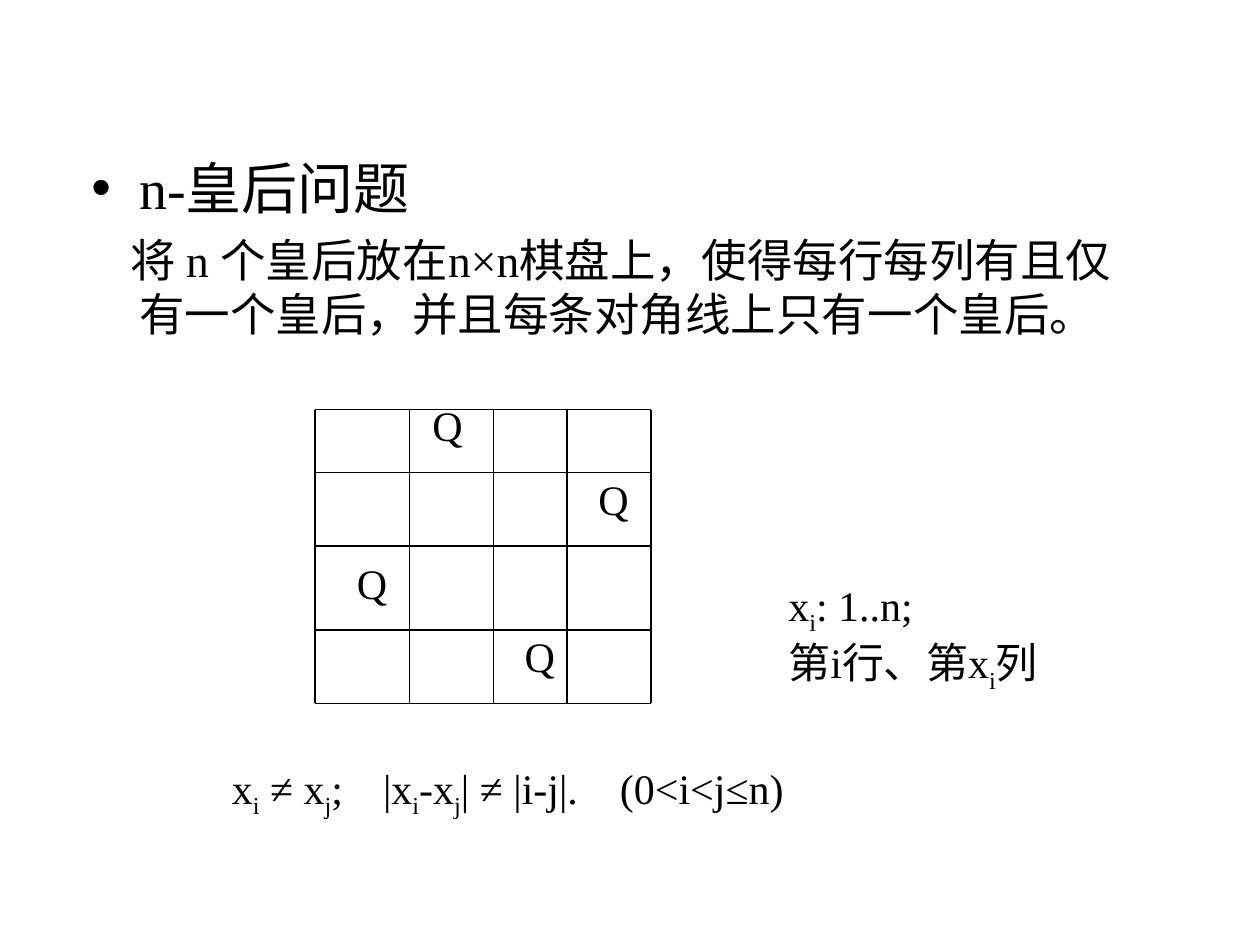
from lxml import etree
from pptx import Presentation
from pptx.dml.color import RGBColor
from pptx.enum.shapes import MSO_CONNECTOR
from pptx.oxml.ns import qn
from pptx.util import Inches, Pt

STRAIGHT = MSO_CONNECTOR.STRAIGHT
FONT = "Times New Roman"
INK = "000000"
COLUMNS = (30, 39, 47, 54, 62)
ROWS = (39, 45, 52, 60, 67)
QUEENS = ((40, 37.5), (55.8, 44.5), (32.8, 52.5), (48.8, 59.5))


def grid(n):
    """Convert grid units of a twelfth of an inch to a length."""
    return Inches(n / 12)


def color(value):
    """Return the colour for a hex string."""
    return RGBColor.from_string(value)


def style(r, size):
    """Set font, size and colour of a run."""
    r.font.name = FONT
    r.font.size = Pt(size)
    r.font.color.rgb = color(INK)


def indent(p, margin, first):
    """Set the left margin and first-line indent in inches."""
    pPr = p._p.get_or_add_pPr()
    pPr.set("marL", str(Inches(margin)))
    pPr.set("indent", str(Inches(first)))
    return pPr


def fill_body(sp, heading, statement):
    """Write the bulleted heading and the unbulleted statement."""
    sp.left, sp.top, sp.width, sp.height = map(grid, (7.5, 14, 103.5, 66))
    tf = sp.text_frame
    tf.text = f"{heading}\n{statement}"
    for p, size, before, first in zip(tf.paragraphs, (32, 26), (8, 6.5), (-0.38, -0.07)):
        p.space_before = Pt(before)
        pPr = indent(p, 0.38, first)
        for r in p.runs:
            style(r, size)
    etree.SubElement(pPr, qn("a:buNone"))


def add_line(s, x1, y1, x2, y2):
    """Draw one thin board line between grid points."""
    line = s.shapes.add_connector(STRAIGHT, *map(grid, (x1, y1, x2, y2)))
    line.line.color.rgb = color(INK)
    line.line.width = Pt(0.75)
    etree.SubElement(line._element.spPr, qn("a:effectLst"))


def add_board(s):
    """Draw the chessboard lines."""
    for x in COLUMNS:
        add_line(s, x, ROWS[0], x, ROWS[-1])
    for y in ROWS:
        add_line(s, COLUMNS[0], y, COLUMNS[-1], y)


def add_math(p, text):
    """Write text in which an underscore lowers the next letter."""
    head, *parts = text.split("_")
    pieces = [(head, False)]
    for part in parts:
        pieces += [(part[0], True), (part[1:], False)]
    for piece, lowered in pieces:
        if piece:
            r = p.add_run()
            r.text = piece
            style(r, 24)
            if lowered:
                r.font._element.set("baseline", "-25000")


def add_text(s, x, y, w, h, *lines, tabs=()):
    """Add a text box with one paragraph for each line."""
    tf = s.shapes.add_textbox(*map(grid, (x, y, w, h))).text_frame
    tf.word_wrap = True
    for i, text in enumerate(lines):
        p = tf.add_paragraph() if i else tf.paragraphs[0]
        if tabs:
            tab_list = etree.SubElement(p._p.get_or_add_pPr(), qn("a:tabLst"))
            for stop in tabs:
                etree.SubElement(tab_list, qn("a:tab"), pos=str(Inches(stop)), algn="l")
        add_math(p, text)


def main():
    """Build the n-queens slide."""
    prs = Presentation()
    prs.slide_width, prs.slide_height = Inches(10), Inches(7.5)
    s = prs.slides.add_slide(prs.slide_layouts[1])
    title = s.shapes.title._element
    title.getparent().remove(title)
    fill_body(
        s.placeholders[1],
        "n-皇后问题",
        "将 n 个皇后放在n×n棋盘上，使得每行每列有且仅有一个皇后，并且每条对角线上只有一个皇后。",
    )
    add_board(s)
    for x, y in QUEENS:
        add_text(s, x, y, 6, 6, "Q")
    add_text(s, 20.9, 72, 57, 6.7, "x_i ≠ x_j;\t|x_i-x_j| ≠ |i-j|.\t(0<i<j≤n)", tabs=(1.2, 3.08))
    add_text(s, 73.9, 54.6, 32, 12.1, "x_i: 1..n;", "第i行、第x_i列")
    prs.save("out.pptx")


if __name__ == "__main__":
    main()
